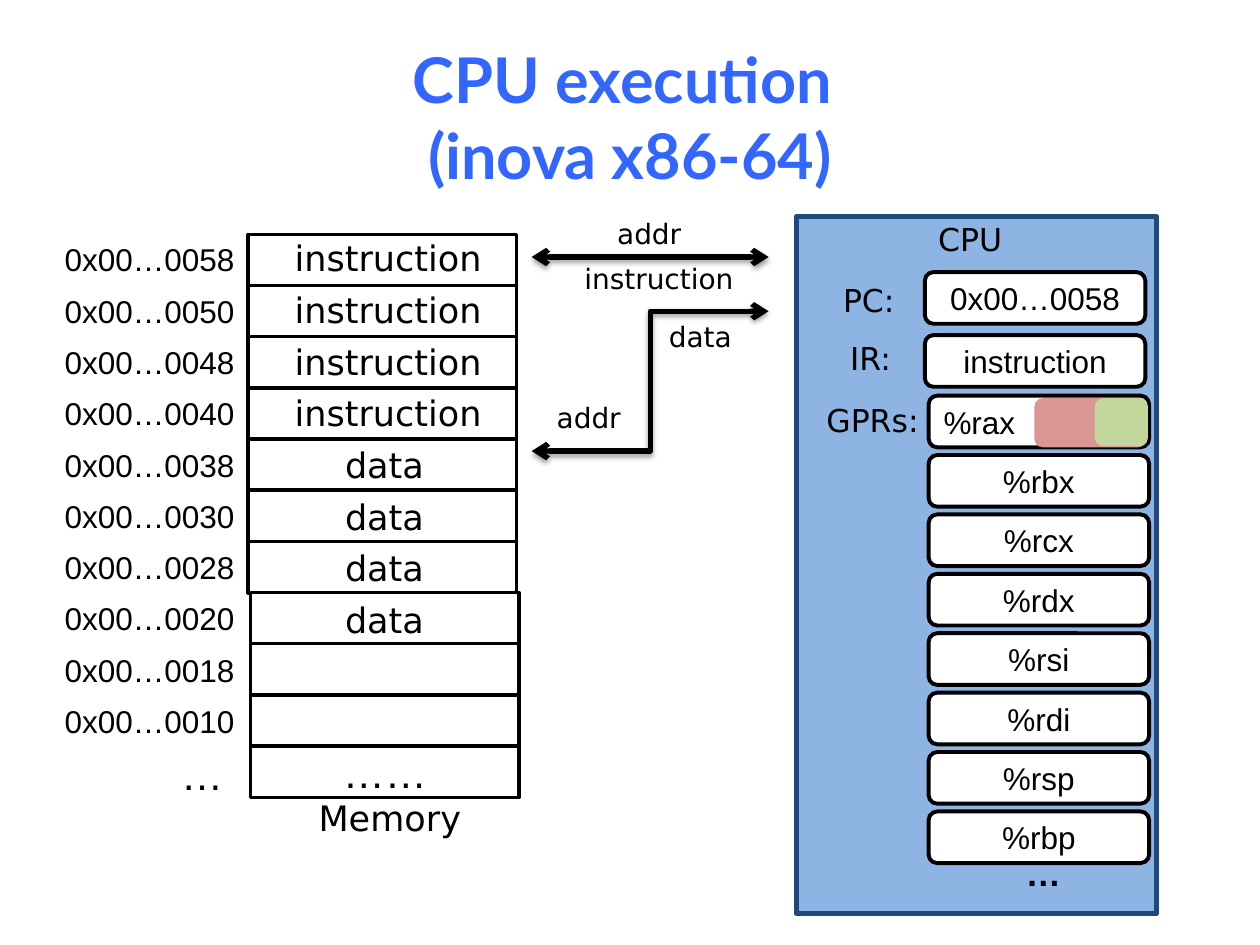
from dataclasses import dataclass

from lxml import etree
from pptx import Presentation
from pptx import util as u
from pptx.dml import color
from pptx.enum import shapes, text


@dataclass(frozen=True)
class Theme:
    title: str = "3366FF"
    ink: str = "000000"
    paper: str = "FFFFFF"
    panel: str = "8EB4E3"
    panel_edge: str = "1F497D"
    red: str = "D99694"
    green: str = "C3D69B"
    title_size: int = 36
    dots_size: int = 24
    cell_size: int = 20
    label_size: int = 18
    bus_size: int = 16
    heading_font: str = "Lato"
    label_font: str = "DejaVu Sans"
    value_font: str = "Arial"


theme = Theme()
LEFT, CENTER, RIGHT = text.PP_ALIGN.LEFT, text.PP_ALIGN.CENTER, text.PP_ALIGN.RIGHT
RECT, ROUND = shapes.MSO_SHAPE.RECTANGLE, shapes.MSO_SHAPE.ROUNDED_RECTANGLE

presentation = Presentation()
presentation.slide_width = u.Inches(10)
presentation.slide_height = u.Inches(7.5)
slide = presentation.slides.add_slide(presentation.slide_layouts[6])


def write(shape, words, size, font=theme.label_font, align=LEFT, ink=theme.ink,
          bold=False, **frame_format):
    frame = shape.text_frame
    frame.text = words
    for name, value in frame_format.items():
        setattr(frame, name, value)
    paragraph = frame.paragraphs[0]
    paragraph.alignment = align
    for run in paragraph.runs:
        run.font.color.rgb = color.RGBColor.from_string(ink)
        for name, value in {"size": u.Pt(size), "name": font, "bold": bold}.items():
            setattr(run.font, name, value)


def add_box(kind, place, fill, line_width=0, edge=theme.ink):
    shape = slide.shapes.add_shape(kind, *map(u.Inches, place))
    shape.shadow.inherit = False
    shape.fill.solid()
    shape.fill.fore_color.rgb = color.RGBColor.from_string(fill)
    if line_width:
        shape.line.color.rgb = color.RGBColor.from_string(edge)
        shape.line.width = u.Pt(line_width)
    else:
        shape.line.fill.background()
    return shape


title = slide.shapes.add_textbox(*map(u.Inches, (0.5, 0.3, 9, 1.25)))
write(title, "CPU execution \v(inova x86-64)", theme.title_size, theme.heading_font,
      CENTER, theme.title, True, word_wrap=True,
      vertical_anchor=text.MSO_ANCHOR.MIDDLE)

add_box(RECT, (6.32, 1.72, 2.86, 5.53), theme.panel, 3, theme.panel_edge)

labels = []
contents = ["instruction"] * 4 + ["data"] * 4
for row in range(11):
    left = 1.97 if row < 7 else 1.99
    cell = add_box(RECT, (left, 1.86 + 0.406 * row, 2.13, 0.41), theme.paper, 2)
    if row < len(contents):
        left, width = (2.24, 1.69) if contents[row] == "instruction" else (2.64, 0.86)
        labels.append((contents[row], (left, 1.83 + 0.41 * row, width, 0.44),
                       theme.cell_size, theme.label_font, LEFT))
    if row < 10:
        labels.append((f"0x00…{0x58 - 8 * row:04x}",
                       (0.4, 1.86 + 0.407 * row, 1.56, 0.4),
                       theme.label_size, theme.value_font, RIGHT))
write(cell, "……", theme.dots_size, theme.value_font, CENTER,
      vertical_anchor=text.MSO_ANCHOR.MIDDLE)

registers = [("0x00…0058", 7.34, 2.16), ("instruction", 7.34, 2.66)]
names = ["%rax", "%rbx", "%rcx", "%rdx", "%rsi", "%rdi", "%rsp", "%rbp"]
registers += [(name, 7.37, 3.14 + 3.3 / 7 * row) for row, name in enumerate(names)]
for value, left, top in registers:
    register = add_box(ROUND, (left, top, 1.75, 0.41), theme.paper, 2.25)
    write(register, value, theme.label_size, theme.value_font,
          LEFT if value == "%rax" else CENTER,
          vertical_anchor=text.MSO_ANCHOR.MIDDLE)
add_box(ROUND, (8.21, 3.16, 0.89, 0.39), theme.red)
add_box(ROUND, (8.69, 3.16, 0.42, 0.38), theme.green)

labels += [
    ("Memory", (2.43, 6.27, 1.33, 0.44), theme.cell_size, theme.label_font, LEFT),
    ("…", (1.33, 5.89, 0.54, 0.5), theme.dots_size, theme.value_font, RIGHT),
    ("CPU", (7.34, 1.7, 0.72, 0.4), theme.label_size, theme.label_font, CENTER),
    ("PC:", (6.57, 2.18, 0.65, 0.4), theme.label_size, theme.label_font, CENTER),
    ("IR:", (6.61, 2.64, 0.6, 0.4), theme.label_size, theme.label_font, CENTER),
    ("GPRs:", (6.44, 3.13, 0.97, 0.4), theme.label_size, theme.label_font, CENTER),
    ("addr", (4.8, 1.67, 0.71, 0.37), theme.bus_size, theme.label_font, LEFT),
    ("instruction", (4.54, 2.03, 1.39, 0.37), theme.bus_size, theme.label_font, LEFT),
    ("addr", (4.32, 3.13, 0.85, 0.37), theme.bus_size, theme.label_font, LEFT),
    ("data", (5.21, 2.49, 0.85, 0.37), theme.bus_size, theme.label_font, LEFT),
    ("…", (8.04, 6.71, 0.48, 0.44), theme.cell_size, theme.value_font, CENTER),
]
for words, place, size, font, align in labels:
    label = slide.shapes.add_textbox(*map(u.Inches, place))
    write(label, words, size, font, align,
          bold=words == "…" and size == theme.cell_size,
          word_wrap=False, auto_size=text.MSO_AUTO_SIZE.SHAPE_TO_FIT_TEXT)

namespace = "http://schemas.openxmlformats.org/drawingml/2006/main"
shadow = f"""<a:effectLst xmlns:a="{namespace}">
  <a:outerShdw blurRad="{u.Pt(3.1)}" dist="{u.Pt(1.6)}" dir="5400000" rotWithShape="0">
    <a:srgbClr val="{theme.ink}"><a:alpha val="38000"/></a:srgbClr>
  </a:outerShdw>
</a:effectLst>"""
buses = [
    (shapes.MSO_CONNECTOR.STRAIGHT, (6.1, 2.04, 4.22, 2.04)),
    (shapes.MSO_CONNECTOR.ELBOW, (6.1, 2.47, 4.22, 3.58)),
]
for kind, ends in buses:
    bus = slide.shapes.add_connector(kind, *map(u.Inches, ends))
    bus.line.color.rgb = color.RGBColor.from_string(theme.ink)
    bus.line.width = u.Pt(3)
    properties = bus.element.spPr
    line = properties.find(f"{{{namespace}}}ln")
    for end in ("headEnd", "tailEnd"):
        etree.SubElement(line, f"{{{namespace}}}{end}", type="arrow")
    properties.append(etree.fromstring(shadow))

presentation.save("out.pptx")
